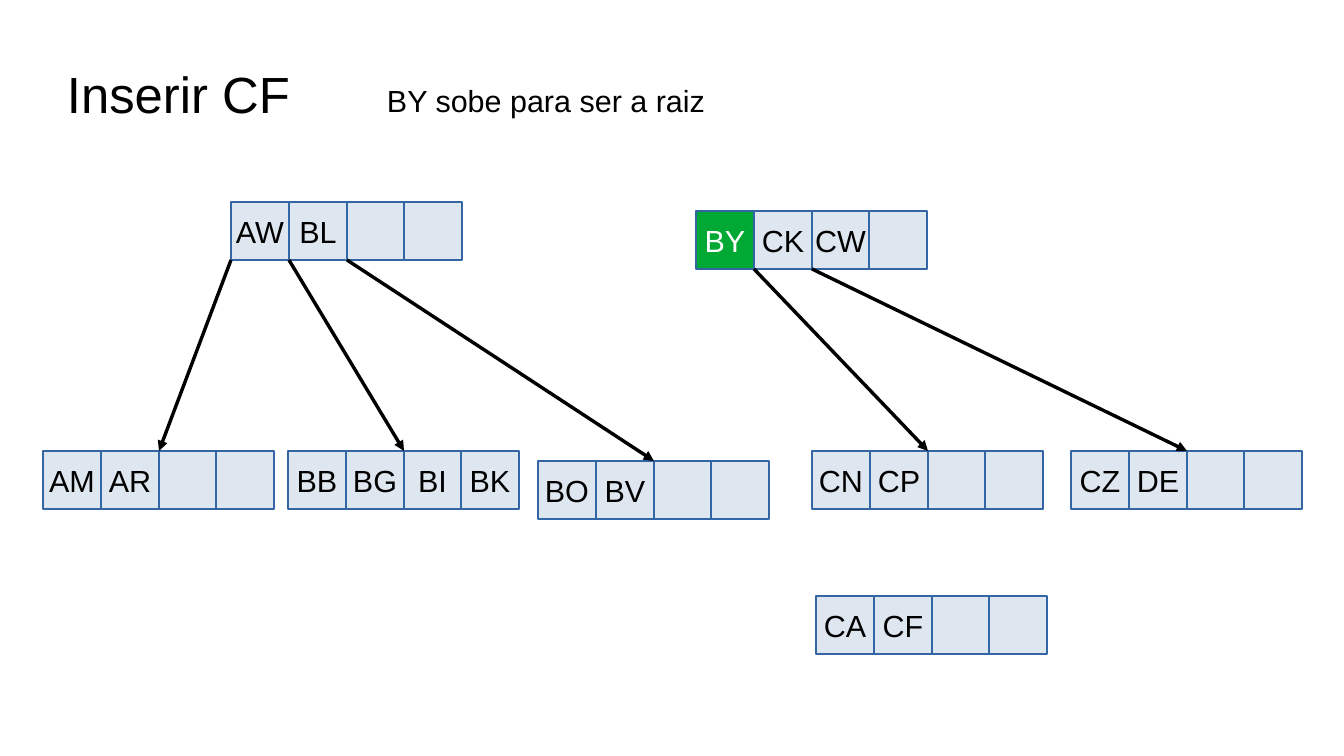
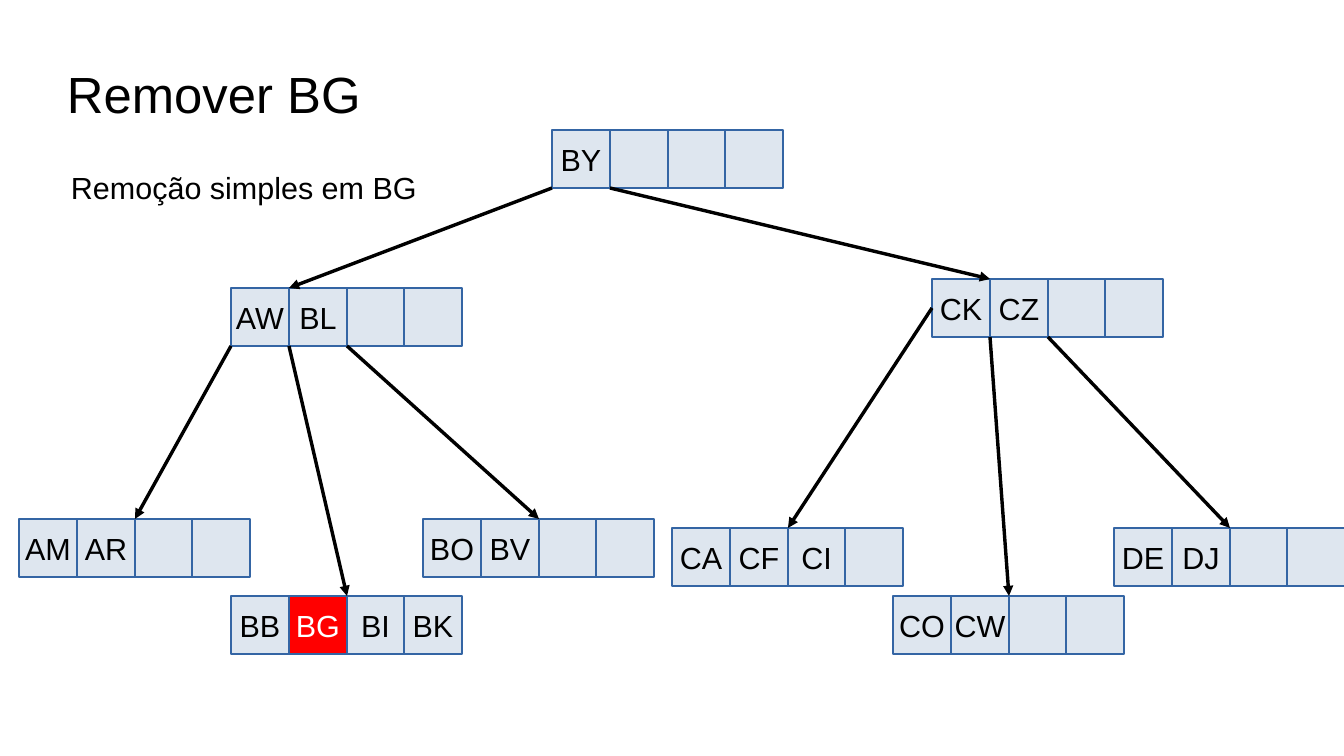
from lxml import etree
from pptx import Presentation
from pptx.dml.color import RGBColor
from pptx.enum.shapes import MSO_CONNECTOR, MSO_SHAPE
from pptx.enum.text import MSO_ANCHOR, PP_ALIGN
from pptx.oxml.ns import qn
from pptx.util import Pt

RECT = MSO_SHAPE.RECTANGLE
LINE = MSO_CONNECTOR.STRAIGHT
LEFT, CENTER = PP_ALIGN.LEFT, PP_ALIGN.CENTER
TOP, MIDDLE = MSO_ANCHOR.TOP, MSO_ANCHOR.MIDDLE

# Shared look
PX = 7495  # EMU in one px
FONT = "Arial"
COLORS = {
    "cell": "DEE6EF",
    "edge": "3465A4",
    "text": "000000",
    "light": "FFFFFF",
    "rise": "00A933",
    "drop": "FF0000",
}
SLOTS = 4    # keys in one node
WIDE = 231   # node width
TALL = 58    # node height

# Each node: left, top, keys
# Each arrow: parent, its slot, child, its slot; slot "side" is the left edge
SLIDES = [
    {
        "title": "Inserir CF",
        "note": ("BY sobe para ser a raiz", 375, 76, 403),
        "marks": {"BY": "rise"},
        "nodes": [
            (231, 202, "AW BL"),
            (696, 211, "BY CK CW"),
            (43, 451, "AM AR"),
            (288, 451, "BB BG BI BK"),
            (538, 461, "BO BV"),
            (812, 451, "CN CP"),
            (1071, 451, "CZ DE"),
            (816, 596, "CA CF"),
        ],
        "arrows": [
            ("AW", 0, "AM", 2),
            ("AW", 1, "BB", 2),
            ("AW", 2, "BO", 2),
            ("BY", 1, "CN", 2),
            ("BY", 2, "CZ", 2),
        ],
    },
    {
        "title": "Remover BG",
        "note": ("Remoção simples em BG", 59, 163, 370),
        "marks": {"BG": "drop"},
        "nodes": [
            (552, 130, "BY"),
            (231, 288, "AW BL"),
            (932, 279, "CK CZ"),
            (19, 519, "AM AR"),
            (231, 596, "BB BG BI BK"),
            (423, 519, "BO BV"),
            (672, 528, "CA CF CI"),
            (893, 596, "CO CW"),
            (1114, 528, "DE DJ"),
        ],
        "arrows": [
            ("BY", 0, "AW", 1),
            ("BY", 1, "CK", 1),
            ("AW", 0, "AM", 2),
            ("AW", 1, "BB", 2),
            ("AW", 2, "BO", 2),
            ("CK", "side", "CA", 2),
            ("CK", 1, "CO", 2),
            ("CK", 2, "DE", 2),
        ],
    },
]


def write(shape, text, size=18, color="text", align=LEFT, anchor=TOP,
          wrap=False, inset=(12, 6)):
    frame = shape.text_frame
    frame.word_wrap = wrap
    frame.vertical_anchor = anchor
    frame.margin_left = frame.margin_right = inset[0] * PX
    frame.margin_top = frame.margin_bottom = inset[1] * PX
    para = frame.paragraphs[0]
    para.alignment = align
    run = para.add_run()
    run.text = text
    run.font.name = FONT
    run.font.size = Pt(size)
    run.font.color.rgb = RGBColor.from_string(COLORS[color])


deck = Presentation()
deck.slide_width, deck.slide_height = 1344 * PX, 756 * PX
blank = deck.slide_layouts[6]

for data in SLIDES:
    shapes = deck.slides.add_slide(blank).shapes

    # Title and note
    title = shapes.add_textbox(67 * PX, 30 * PX, 1210 * PX, 127 * PX)
    write(title, data["title"], size=30, anchor=MIDDLE, wrap=True, inset=(0, 0))
    text, left, top, width = data["note"]
    note = shapes.add_textbox(left * PX, top * PX, width * PX, 80 * PX)
    write(note, text)

    # Nodes, found later by their first key
    nodes = {}
    for left, top, words in data["nodes"]:
        keys = words.split()
        cuts = [left + round(WIDE * i / SLOTS) for i in range(SLOTS + 1)]
        cells = []
        for i in range(SLOTS):
            key = keys[i] if i < len(keys) else ""
            mark = data["marks"].get(key)
            cell = shapes.add_shape(RECT, cuts[i] * PX, top * PX,
                                    (cuts[i + 1] - cuts[i]) * PX, TALL * PX)
            cell.shadow.inherit = False
            cell.fill.solid()
            cell.fill.fore_color.rgb = RGBColor.from_string(COLORS[mark or "cell"])
            cell.line.color.rgb = RGBColor.from_string(COLORS["edge"])
            cell.line.width = 0
            if key:
                write(cell, key, color="light" if mark else "text",
                      align=CENTER, anchor=MIDDLE)
            cells.append(cell)
        nodes[keys[0]] = (cuts, top, cells)

    # Arrows from parent to child
    for parent, start, child, end in data["arrows"]:
        cuts, top, cells = nodes[parent]
        ends, head, _ = nodes[child]
        side = start == "side"
        slot = 0 if side else start
        arrow = shapes.add_connector(LINE, cuts[slot] * PX, (top + TALL) * PX,
                                     ends[end] * PX, head * PX)
        if side:
            arrow.begin_connect(cells[0], 1)
        arrow.line.color.rgb = RGBColor.from_string(COLORS["text"])
        arrow.line.width = 0
        tip = etree.SubElement(arrow.line._get_or_add_ln(), qn("a:tailEnd"))
        tip.set("type", "triangle")
        etree.SubElement(arrow._element.spPr, qn("a:effectLst"))

deck.save("out.pptx")
